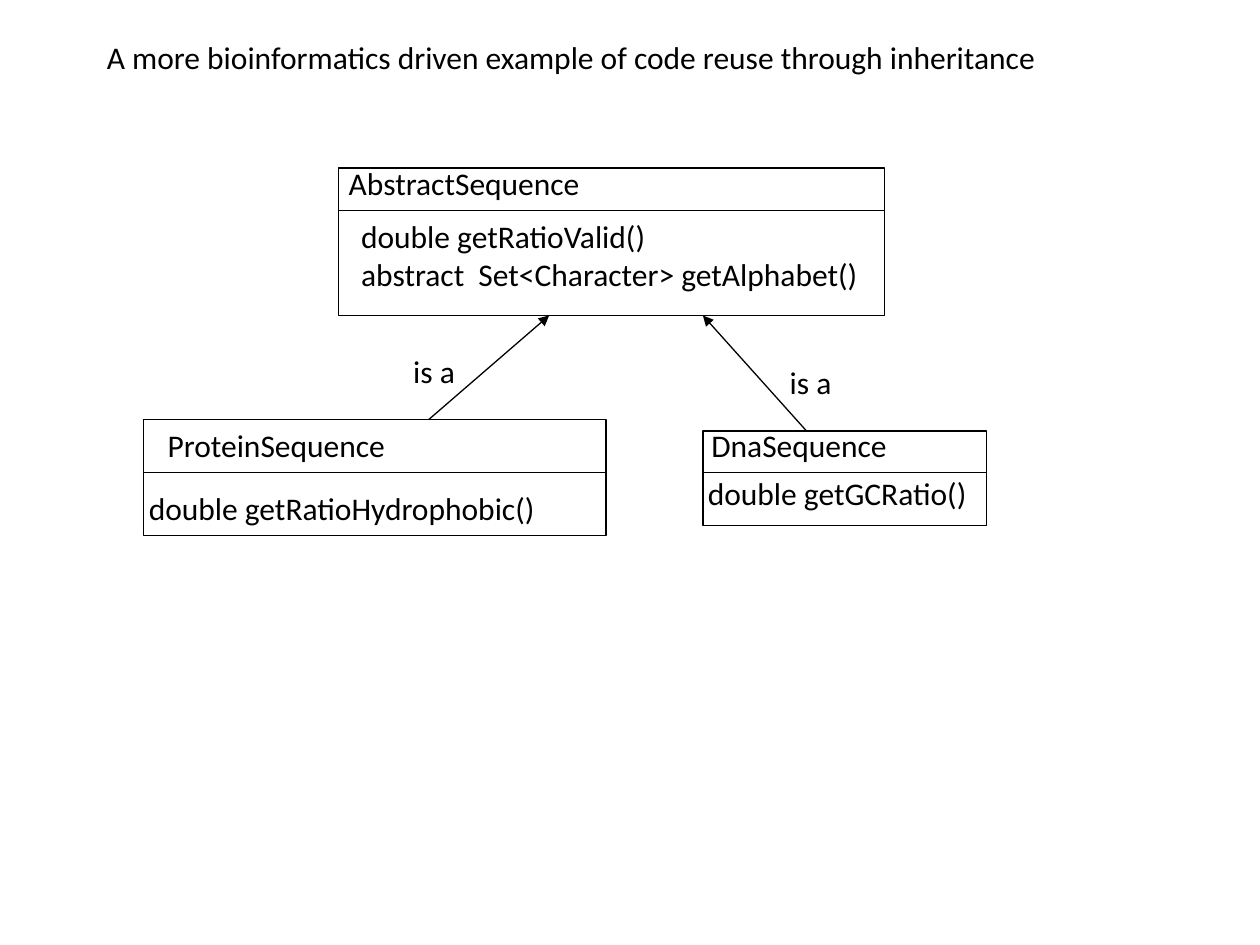
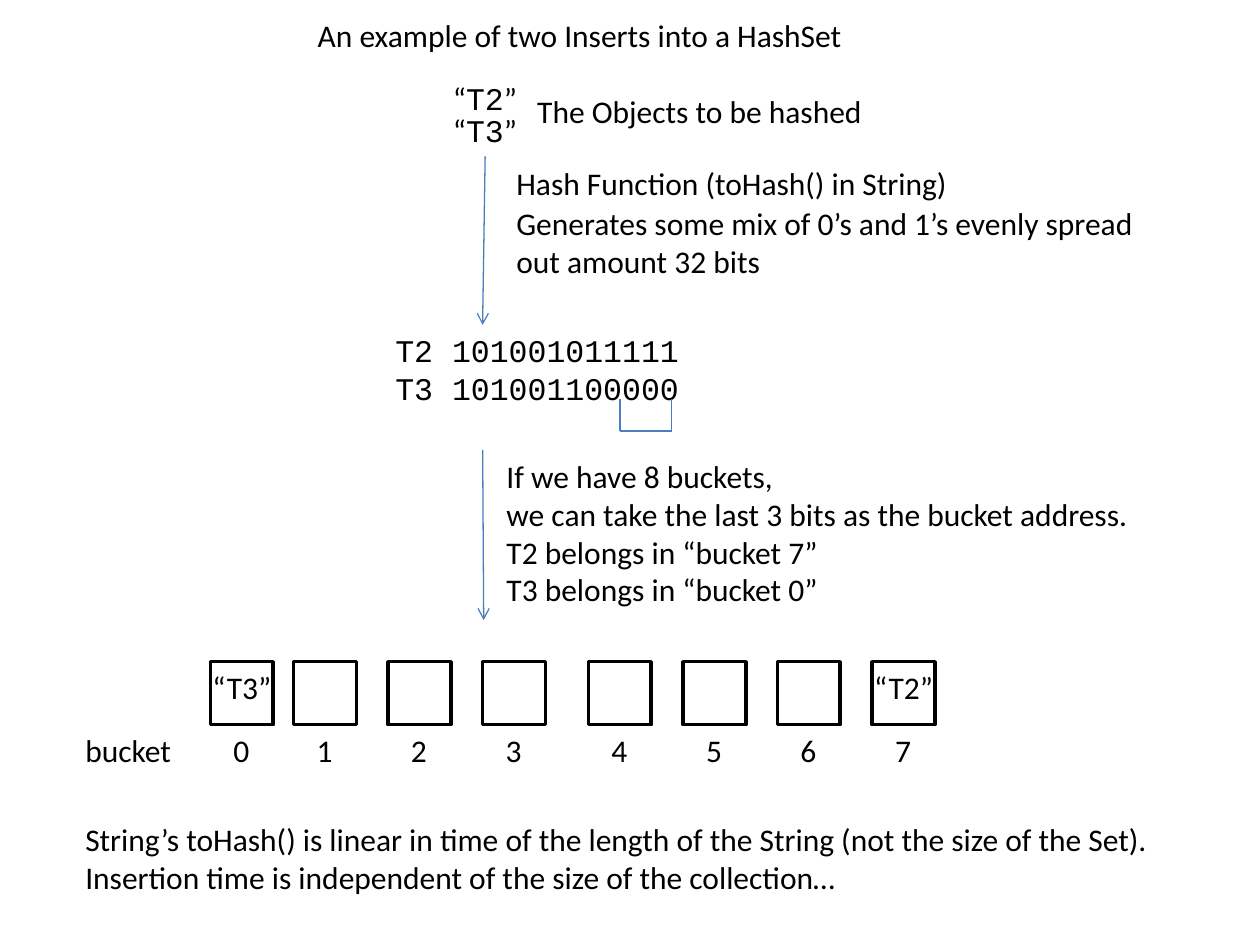
from itertools import pairwise

from lxml import etree
from pptx import Presentation
from pptx.dml.color import RGBColor
from pptx.enum.shapes import MSO_CONNECTOR, MSO_SHAPE
from pptx.enum.text import MSO_ANCHOR, MSO_AUTO_SIZE, PP_ALIGN
from pptx.oxml.ns import qn
from pptx.util import Cm, Pt

RECT = MSO_SHAPE.RECTANGLE
STRAIGHT = MSO_CONNECTOR.STRAIGHT
TOP = MSO_ANCHOR.TOP
LEFT, CENTER = PP_ALIGN.LEFT, PP_ALIGN.CENTER
GROW = MSO_AUTO_SIZE.SHAPE_TO_FIT_TEXT
COLORS = {"ink": "000000", "arrow": "4B7EBC"}
SANS, MONO = "Calibri", "Courier New"
TITLE_ONLY = 5
BUCKET = 1.27


def rgb(name):
    """Return the named palette colour."""
    return RGBColor.from_string(COLORS[name])


def write(tf, lines, font=SANS, size=18, align=LEFT):
    """Fill a text frame; a line is a string or a list of (text, font) runs."""
    tf.word_wrap = False
    tf.vertical_anchor = TOP
    for i, line in enumerate(lines):
        p = tf.add_paragraph() if i else tf.paragraphs[0]
        p.alignment = align
        runs = [(line, font)] if isinstance(line, str) else line
        for content, face in runs:
            r = p.add_run()
            r.text = content
            r.font.name = face
            r.font.size = Pt(size)
            r.font.color.rgb = rgb("ink")


def text_height(lines):
    """Return the height in cm of a box for the given lines."""
    return 0.25 + 0.77 * len(lines)


def text(s, x, y, w, lines, **fmt):
    """Add a text box that grows with its lines."""
    box = s.shapes.add_textbox(Cm(x), Cm(y), Cm(w), Cm(text_height(lines)))
    write(box.text_frame, lines, **fmt)
    box.text_frame.auto_size = GROW


def title(s, x, y, w, content):
    """Place and format the title placeholder."""
    sp = s.shapes.title
    sp.left, sp.top, sp.width = Cm(x), Cm(y), Cm(w)
    sp.height = Cm(text_height([content]))
    write(sp.text_frame, [content])
    sp.text_frame.auto_size = GROW


def line(s, start, end, color="ink", head=None):
    """Draw a thin straight line, with an arrowhead at its end if asked."""
    c = s.shapes.add_connector(STRAIGHT, *map(Cm, start + end))
    c.line.color.rgb = rgb(color)
    c.line.width = Pt(0.75)
    if head:
        ln = c.line._get_or_add_ln()
        etree.SubElement(ln, qn("a:tailEnd"), type=head)
    etree.SubElement(c._element.spPr, qn("a:effectLst"))


def frame(s, x, y, w, h, weight=0.75):
    """Draw an unfilled black rectangle."""
    sp = s.shapes.add_shape(RECT, Cm(x), Cm(y), Cm(w), Cm(h))
    sp.shadow.inherit = False
    sp.fill.background()
    sp.line.color.rgb = rgb("ink")
    sp.line.width = Pt(weight)
    return sp


def class_box(s, x, y, w, h, header, name, methods):
    """Draw a class; name and methods are (dx, dy, width, lines)."""
    frame(s, x, y, w, h)
    line(s, (x, y + header), (x + w, y + header))
    for dx, dy, width, lines in (name, methods):
        text(s, x + dx, y + dy, width, lines)


def is_a(s, start, end, dx, dy):
    """Draw an inheritance arrow with its label offset from the start."""
    line(s, start, end, head="triangle")
    text(s, start[0] + dx, start[1] + dy, 1.65, ["is a"])


def hashed_objects(s, x, y):
    """Stack the two quoted objects beside their caption."""
    for i, key in enumerate(("T2", "T3")):
        quoted = [("“", SANS), (key, MONO), ("”", SANS)]
        text(s, x, y + 0.64 * i, 1.8, [quoted])
    text(s, x + 1.7, y + 0.26, 7.14, ["The Objects to be hashed"])


def step(s, x, y, lean, drop, notes):
    """Draw a downward arrow with notes given as (dx, dy, width, lines)."""
    line(s, (x, y), (x + lean, y + drop), color="arrow", head="arrow")
    for dx, dy, width, lines in notes:
        text(s, x + dx, y + dy, width, lines)


def hash_codes(s, x, y):
    """Show both hash codes with a bracket under the last three bits."""
    text(s, x, y, 6.25, ["T2 101001011111", "T3 101001100000"], font=MONO)
    left, right, top, bottom = x + 4.78, x + 5.82, y + 1.5, y + 2.14
    corners = (left, top), (left, bottom), (right, bottom), (right, top)
    for start, end in pairwise(corners):
        line(s, start, end, color="arrow")


def buckets(s, x, y, offsets, contents):
    """Draw the numbered row of buckets and what they hold."""
    label_w = 0.84
    label_y = y + BUCKET
    text(s, x, label_y, 2.26, ["bucket"])
    for i, dx in enumerate(offsets):
        sp = frame(s, x + dx, y, BUCKET, BUCKET, weight=2)
        if i in contents:
            tf = sp.text_frame
            tf.margin_left = tf.margin_right = 0
            write(tf, [contents[i]], align=CENTER)
        label_x = x + dx + (BUCKET - label_w) / 2
        text(s, label_x, label_y, label_w, [str(i)])


def inheritance_slide(prs):
    """Build the class diagram slide."""
    s = prs.slides.add_slide(prs.slide_layouts[TITLE_ONLY])
    title(s, 1.9, 0.64, 19.63,
          "A more bioinformatics driven example of code reuse through inheritance")
    class_box(s, 6.83, 3.39, 11, 2.97, 0.86,
              (-0.05, -0.2, 6.63, ["AbstractSequence"]),
              (0.2, 0.86, 10.64, ["double getRatioValid()",
                                  "abstract  Set<Character> getAlphabet()"]))
    class_box(s, 2.9, 8.46, 9.32, 2.34, 1.07,
              (0.23, 0, 6.2, ["ProteinSequence"]),
              (-0.15, 1.27, 8.38, ["double getRatioHydrophobic()"]))
    class_box(s, 14.17, 8.69, 5.72, 1.9, 0.84,
              (-0.08, -0.23, 5.16, ["DnaSequence"]),
              (-0.15, 0.74, 5.87, ["double getGCRatio()"]))
    is_a(s, (8.64, 8.46), (11.07, 6.36), -0.56, -1.48)
    is_a(s, (16.26, 8.69), (14.17, 6.36), -0.59, -1.5)


def hashing_slide(prs):
    """Build the slide that follows two inserts into buckets."""
    s = prs.slides.add_slide(prs.slide_layouts[TITLE_ONLY])
    title(s, 6.15, 0.2, 11.2, "An example of two Inserts into a HashSet")
    hashed_objects(s, 8.88, 1.47)
    step(s, 9.78, 3.15, -0.05, 3.4, [
        (0.38, 0.03, 9.3, ["Hash Function (toHash() in String)"]),
        (0.38, 0.84, 13.08, ["Generates some mix of 0’s and 1’s evenly spread",
                             "out amount 32 bits"])])
    hash_codes(s, 7.72, 6.55)
    step(s, 9.73, 9.07, 0.02, 3.43, [
        (0.23, 0.02, 13.28, ["If we have 8 buckets,",
                             "we can take the last 3 bits as the bucket address.",
                             "T2 belongs in “bucket 7”",
                             "T3 belongs in “bucket 0”"])])
    buckets(s, 1.47, 13.34,
            (2.77, 4.45, 6.35, 8.26, 10.39, 12.3, 14.2, 16.11),
            {0: "“T3”", 7: "“T2”"})
    text(s, 1.47, 16.41, 22.2, [
        "String’s toHash() is linear in time of the length of the String "
        "(not the size of the Set).",
        "Insertion time is independent of the size of the collection…"])


def main():
    """Build and save the presentation."""
    prs = Presentation()
    prs.slide_width, prs.slide_height = Cm(25.4), Cm(19.05)
    inheritance_slide(prs)
    hashing_slide(prs)
    prs.save("out.pptx")


main()
